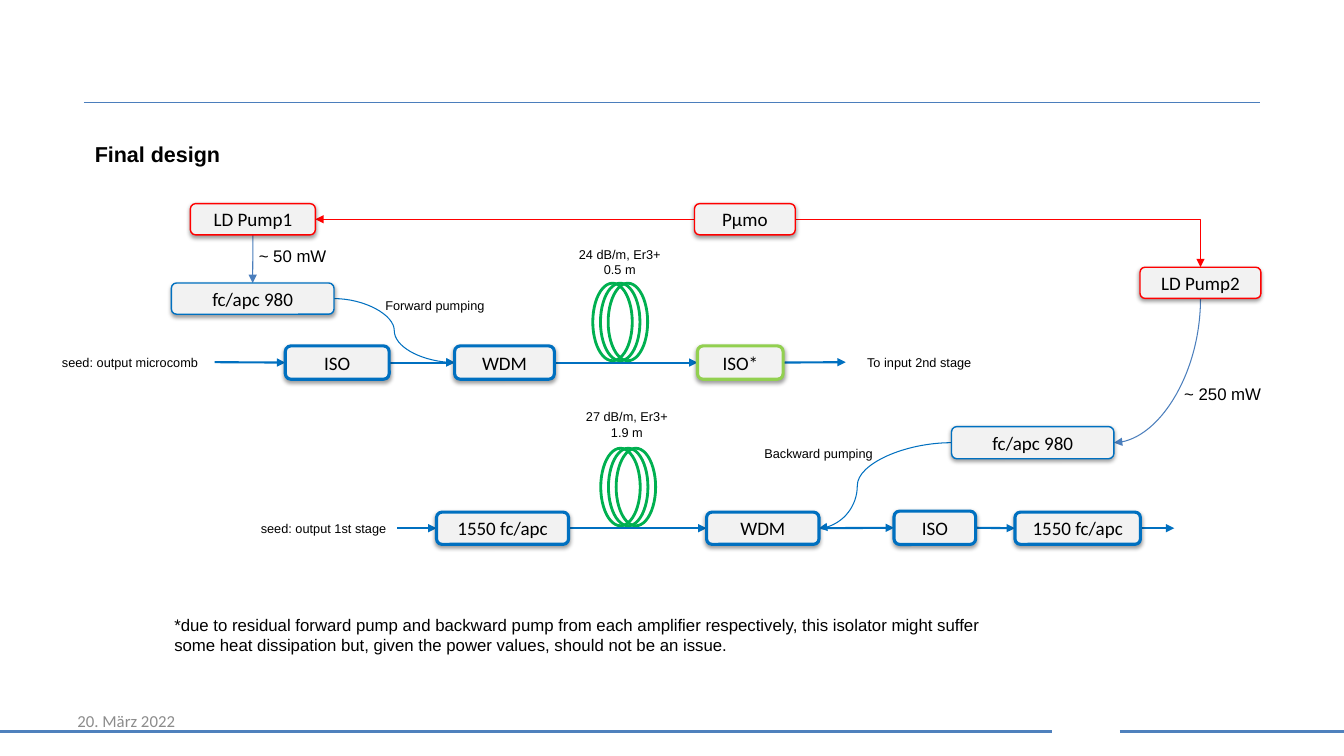
"""Build the final design slide of a two-stage fibre amplifier."""
from dataclasses import dataclass
from typing import Optional

from lxml import etree
from pptx import Presentation
from pptx import util as u
from pptx.dml.color import RGBColor
from pptx.enum import shapes, text
from pptx.oxml import ns

BLUE = RGBColor(0x00, 0x70, 0xC0)
STEEL = RGBColor(0x4B, 0x7E, 0xBC)
FOOTER_BLUE = RGBColor(0x4F, 0x81, 0xBD)
RED = RGBColor(0xFF, 0x00, 0x00)
LIME = RGBColor(0x92, 0xD0, 0x50)
GREEN = RGBColor(0x00, 0xB0, 0x50)
LIGHT = RGBColor(0xF2, 0xF2, 0xF2)
GREY = RGBColor(0x8C, 0x8C, 0x8C)
BLACK = RGBColor(0x00, 0x00, 0x00)

STRAIGHT = shapes.MSO_CONNECTOR.STRAIGHT
CURVE = shapes.MSO_CONNECTOR.CURVE
ELBOW = shapes.MSO_CONNECTOR.ELBOW
LEFT, CENTER = text.PP_ALIGN.LEFT, text.PP_ALIGN.CENTER
TOP, MIDDLE = text.MSO_ANCHOR.TOP, text.MSO_ANCHOR.MIDDLE

Point = tuple[float, float]


@dataclass(frozen=True)
class Box:
    label: str
    x: float
    middle: float
    width: float
    height: float = 23
    color: RGBColor = BLUE
    weight: float = 2.25

    @property
    def left(self) -> Point:
        return self.x, self.middle

    @property
    def right(self) -> Point:
        return self.x + self.width, self.middle

    @property
    def top(self) -> Point:
        return self.x + self.width / 2, self.middle - self.height / 2

    @property
    def bottom(self) -> Point:
        return self.x + self.width / 2, self.middle + self.height / 2


@dataclass(frozen=True)
class Line:
    begin: Point
    end: Point
    color: RGBColor = BLUE
    weight: float = 1.5
    kind: shapes.MSO_CONNECTOR = STRAIGHT
    arrow: bool = True
    preset: Optional[str] = None
    bend: Optional[int] = None
    rotation: int = 0


@dataclass(frozen=True)
class Label:
    content: str
    x: float
    y: float
    width: float
    height: float = 18
    size: float = 9.1
    align: text.PP_ALIGN = CENTER
    anchor: text.MSO_ANCHOR = TOP
    font: str = "Arial"
    color: RGBColor = BLACK


PUMP1 = Box("LD Pump1", 136, 156.6, 89.3, 22.3, RED, 1)
PUMO = Box("Pµmo", 496.1, 156.6, 72, 22.3, RED, 1)
PUMP2 = Box("LD Pump2", 814.3, 202, 86.4, 22.3, RED, 1)
FORWARD = Box("fc/apc 980", 122.4, 213.3, 116.2, 22.3, weight=1)
BACKWARD = Box("fc/apc 980", 679.7, 316.2, 116, weight=1)
ISO1 = Box("ISO", 203.8, 259, 74.2, 23.8)
WDM1 = Box("WDM", 324.7, 259, 71.3, 23.8)
ISO_STAR = Box("ISO*", 498.2, 259, 61.2, 23.8, LIME)
INPUT2 = Box("1550 fc/apc", 311.8, 377.3, 94.3)
WDM2 = Box("WDM", 504.7, 377.3, 80.3)
ISO2 = Box("ISO", 638.6, 377, 58.3, 23.8)
OUTPUT2 = Box("1550 fc/apc", 725, 377.3, 89.6)
BOXES = [PUMP1, PUMO, PUMP2, FORWARD, BACKWARD, ISO1, WDM1, ISO_STAR,
         INPUT2, WDM2, ISO2, OUTPUT2]

LINES = [
    Line((0, 522.7), (751.7, 522.7), FOOTER_BLUE, 2.25, arrow=False),
    Line((799.9, 522.7), (960, 522.7), FOOTER_BLUE, 2.25, arrow=False),
    Line((60, 73.2), (900, 73.2), STEEL, 0.75, arrow=False),
    Line((153.4, 258.7), ISO1.left),
    Line(ISO1.right, WDM1.left),
    Line(WDM1.right, ISO_STAR.left),
    Line(ISO_STAR.right, (604.1, 258.7)),
    Line((283.7, 377.3), INPUT2.left),
    Line(INPUT2.right, WDM2.left),
    Line(WDM2.right, ISO2.left),
    Line(ISO2.right, OUTPUT2.left),
    Line(OUTPUT2.right, (838.8, 377.3)),
    Line(PUMO.left, PUMP1.right, RED, 0.75),
    Line(PUMO.right, PUMP2.top, RED, 0.75, ELBOW, preset="bentConnector2"),
    Line(PUMP1.bottom, FORWARD.top, STEEL, 0.75),
    Line(FORWARD.right, WDM1.left, BLUE, 0.75, CURVE),
    Line(BACKWARD.left, WDM2.right, BLUE, 0.75, CURVE, bend=71100),
    Line((775.1, 233.8), (878.1, 295.6), STEEL, 0.75, CURVE,
         preset="curvedConnector2", rotation=90),
]

COILS: list[Point] = [(423.4, 202.3), (429.1, 320.2)]
COIL_LOOPS, LOOP_STEP = 3, 5.5

LABELS = [
    Label("seed: output microcomb", 32.4, 249.8, 121),
    Label("To input 2nd stage", 604.1, 249.8, 105.1),
    Label("seed: output 1st stage", 178.6, 368.6, 105.1),
    Label("Forward pumping", 267.1, 208.8, 87.1),
    Label("Backward pumping", 538.6, 314.6, 92.2),
    Label("24 dB/m, Er3+\n0.5 m", 390.2, 172.8, 105.1, 29.5),
    Label("27 dB/m, Er3+\n1.9 m", 395.3, 288.7, 105.1, 29.5),
    Label("~ 50 mW", 177.8, 172.1, 72, 21.6, 12, LEFT),
    Label("~ 250 mW", 838.8, 270.7, 80, 21.6, 12, LEFT),
    Label("*due to residual forward pump and backward pump from each amplifier "
          "respectively, this isolator might suffer some heat dissipation but, "
          "given the power values, should not be an issue.",
          117.4, 435.6, 618.5, 36, 12, LEFT),
    Label("20. März 2022", 48.2, 500.4, 223.9, 28.8, 12, LEFT, MIDDLE,
          "Calibri", GREY),
]


def format_text(frame, size: float, font: str, color: RGBColor,
                align: text.PP_ALIGN, bold: bool = False) -> None:
    for paragraph in frame.paragraphs:
        paragraph.alignment = align
        for run in paragraph.runs:
            run.font.size = u.Pt(size)
            run.font.name = font
            run.font.bold = bold
            run.font.color.rgb = color


def draw_line(slide, line: Line) -> None:
    connector = slide.shapes.add_connector(
        line.kind, *(u.Pt(value) for value in line.begin + line.end))
    connector.line.color.rgb = line.color
    connector.line.width = u.Pt(line.weight)
    properties = connector.element.spPr
    geometry = properties.find(ns.qn("a:prstGeom"))
    if line.preset:
        geometry.set("prst", line.preset)
    if line.bend is not None:
        guides = geometry.find(ns.qn("a:avLst"))
        etree.SubElement(guides, ns.qn("a:gd"), name="adj1", fmla=f"val {line.bend}")
    if line.rotation:
        properties.find(ns.qn("a:xfrm")).set("rot", str(line.rotation * 60000))
    if line.arrow:
        outline = properties.find(ns.qn("a:ln"))
        etree.SubElement(outline, ns.qn("a:tailEnd"), type="triangle")
    etree.SubElement(properties, ns.qn("a:effectLst"))


def draw_box(slide, box: Box) -> None:
    shape = slide.shapes.add_shape(
        shapes.MSO_SHAPE.ROUNDED_RECTANGLE, u.Pt(box.x), u.Pt(box.top[1]),
        u.Pt(box.width), u.Pt(box.height))
    shape.fill.solid()
    shape.fill.fore_color.rgb = LIGHT
    shape.line.color.rgb = box.color
    shape.line.width = u.Pt(box.weight)
    shape.shadow.inherit = False
    effects = shape.element.spPr.find(ns.qn("a:effectLst"))
    shadow = etree.SubElement(
        effects, ns.qn("a:outerShdw"), blurRad=str(u.Pt(3.1)),
        dist=str(u.Pt(1.6)), dir="5400000", rotWithShape="0")
    tint = etree.SubElement(shadow, ns.qn("a:srgbClr"), val=str(BLACK))
    etree.SubElement(tint, ns.qn("a:alpha"), val="38000")
    shape.text_frame.text = box.label
    shape.text_frame.vertical_anchor = MIDDLE
    format_text(shape.text_frame, 13.6, "Calibri", BLACK, CENTER)


def draw_coil(slide, left: float, top: float) -> None:
    for loop in range(COIL_LOOPS):
        shape = slide.shapes.add_shape(
            shapes.MSO_SHAPE.OVAL, u.Pt(left + loop * LOOP_STEP), u.Pt(top),
            u.Pt(28.2), u.Pt(55.4))
        shape.fill.background()
        shape.line.color.rgb = GREEN
        shape.line.width = u.Pt(2)
        shape.shadow.inherit = False


def draw_label(slide, label: Label) -> None:
    shape = slide.shapes.add_textbox(
        u.Pt(label.x), u.Pt(label.y), u.Pt(label.width), u.Pt(label.height))
    frame = shape.text_frame
    frame.word_wrap = True
    frame.vertical_anchor = label.anchor
    frame.text = label.content
    format_text(frame, label.size, label.font, label.color, label.align)


def draw_title(slide) -> None:
    title = slide.shapes.title
    title.left, title.top = u.Pt(60.5), u.Pt(87.8)
    title.width, title.height = u.Pt(589.7), u.Pt(63.4)
    frame = title.text_frame
    frame.text = "Final design"
    frame.auto_size = text.MSO_AUTO_SIZE.NONE
    frame.vertical_anchor = TOP
    frame.paragraphs[0].line_spacing = 1.5
    format_text(frame, 15.4, "Arial", BLACK, text.PP_ALIGN.JUSTIFY, bold=True)


def main() -> None:
    presentation = Presentation()
    presentation.slide_width, presentation.slide_height = u.Pt(960), u.Pt(540)
    slide = presentation.slides.add_slide(presentation.slide_layouts[5])
    draw_title(slide)
    for line in LINES:
        draw_line(slide, line)
    for box in BOXES:
        draw_box(slide, box)
    for left, top in COILS:
        draw_coil(slide, left, top)
    for label in LABELS:
        draw_label(slide, label)
    presentation.save("out.pptx")


if __name__ == "__main__":
    main()
